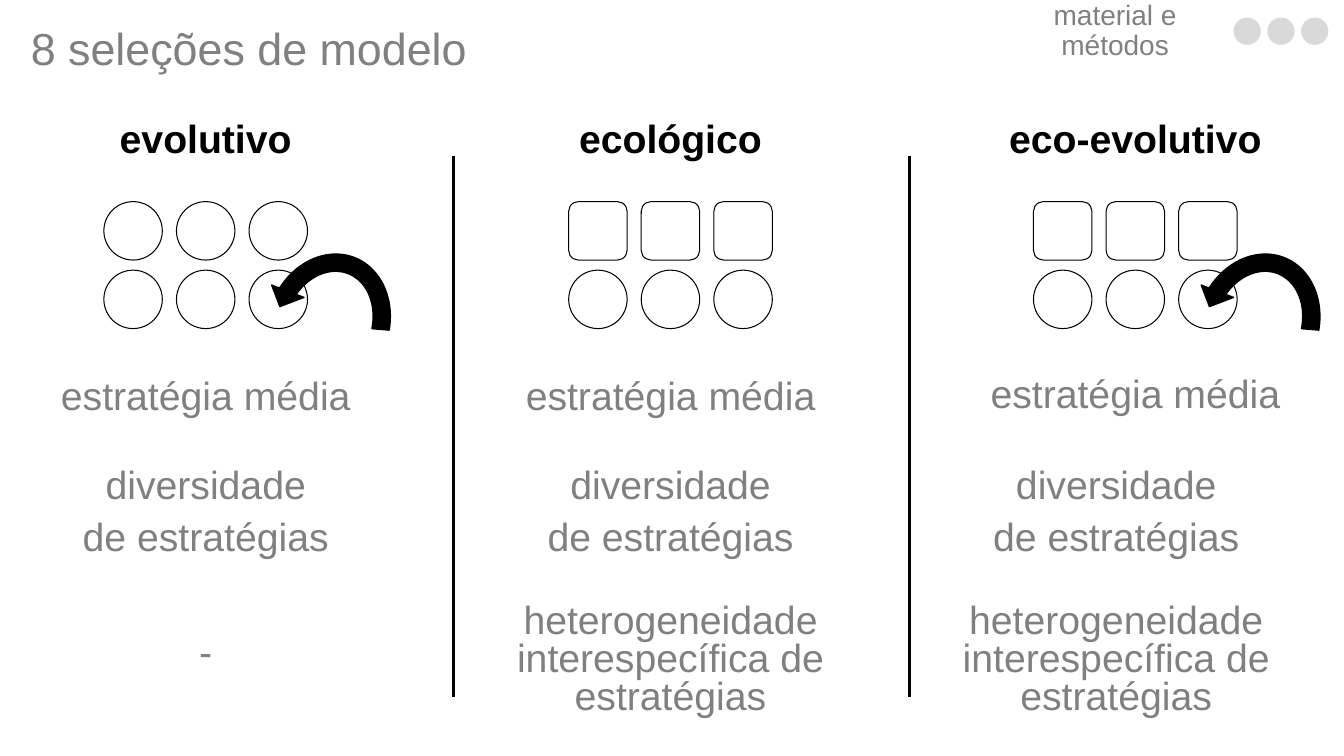
"""Build the slide that compares three families of model selection."""
import dataclasses

import lxml.etree
import pptx
import pptx.dml.color
import pptx.enum.shapes
import pptx.enum.text
import pptx.oxml.ns
import pptx.util

Inches = pptx.util.Inches
Pt = pptx.util.Pt
SHAPE = pptx.enum.shapes.MSO_SHAPE
ANCHOR = pptx.enum.text.MSO_ANCHOR


@dataclasses.dataclass(frozen=True)
class Theme:
    """Colours, font and type sizes of the slide."""
    font: str = "Arial"
    black: str = "000000"
    grey: str = "808080"
    pale: str = "D9D9D9"
    title: int = 32
    body: int = 28
    section: int = 20


THEME = Theme()
CENTRE, COLUMN_STEP = 2.04, 4.61
CELL, CELL_STEP_X, CELL_STEP_Y = 0.58, 0.72, 0.68
DIVERSITY = ["diversidade", "de estratégias"]
HETEROGENEITY = "heterogeneidade interespecífica de estratégias"
COLUMNS = [
    {"name": "evolutivo", "top_row": SHAPE.OVAL, "arrow": True,
     "mean_top": 3.69, "shift": 0, "last": "-",
     "last_box": (6.23, 3.51, 0.85), "last_spacing": 0.9},
    {"name": "ecológico", "top_row": SHAPE.ROUNDED_RECTANGLE, "arrow": False,
     "mean_top": 3.69, "shift": 0, "last": HETEROGENEITY,
     "last_box": (5.95, 4.76, 1.33), "last_spacing": 0.8},
    {"name": "eco-evolutivo", "top_row": SHAPE.ROUNDED_RECTANGLE, "arrow": True,
     "mean_top": 3.67, "shift": -0.19, "last": HETEROGENEITY,
     "last_box": (5.95, 4.76, 1.33), "last_spacing": 0.8},
]


def rgb(colour):
    """Return the colour object of a hex string."""
    return pptx.dml.color.RGBColor.from_string(colour)


def apply(target, formats):
    """Set each attribute named in formats on the target."""
    for name, value in formats.items():
        setattr(target, name, value)


def write(tf, lines, size, colour=THEME.grey, bold=False, spacing=0.9,
          before=10, anchor=ANCHOR.TOP):
    """Fill a text frame with centred paragraphs."""
    apply(tf, {"word_wrap": True, "vertical_anchor": anchor,
               "auto_size": pptx.enum.text.MSO_AUTO_SIZE.NONE})
    for i, line in enumerate(lines):
        p = tf.add_paragraph() if i else tf.paragraphs[0]
        apply(p, {"alignment": pptx.enum.text.PP_ALIGN.CENTER,
                  "line_spacing": spacing, "space_before": Pt(before)})
        r = p.add_run()
        r.text = line
        apply(r.font, {"name": THEME.font, "size": Pt(size), "bold": bold})
        r.font.color.rgb = rgb(colour)


def add_text(s, centre, top, width, height, lines, size=THEME.body, **formats):
    """Add a text box centred on a horizontal position."""
    box = s.shapes.add_textbox(Inches(centre - width / 2), Inches(top),
                               Inches(width), Inches(height))
    write(box.text_frame, lines, size, **formats)


def add_title(s, text):
    """Place and fill the title placeholder."""
    sp = s.shapes.title
    apply(sp, {"left": Inches(-0.09), "top": Inches(0.22),
               "width": Inches(5.12), "height": Inches(0.98)})
    write(sp.text_frame, [text], THEME.title)


def add_figure(s, kind, left, top, width, height, line, weight=0, fill=None):
    """Add a preset shape with an outline and an optional fill."""
    sp = s.shapes.add_shape(kind, Inches(left), Inches(top),
                            Inches(width), Inches(height))
    sp.shadow.inherit = False
    sp.line.color.rgb = rgb(line)
    sp.line.width = Pt(weight)
    if fill:
        sp.fill.solid()
        sp.fill.fore_color.rgb = rgb(fill)
    else:
        sp.fill.background()
    return sp


def add_species(s, centre, top_row):
    """Add two rows of three outlined species symbols."""
    for row, kind in enumerate((top_row, SHAPE.OVAL)):
        for col in range(3):
            add_figure(s, kind, centre + (col - 1) * CELL_STEP_X - CELL / 2,
                       2 + row * CELL_STEP_Y, CELL, CELL, THEME.black)


def add_arrow(s, centre):
    """Add the curved arrow that points at the last species."""
    sp = add_figure(s, SHAPE.CIRCULAR_ARROW, centre + 0.53, 2.42, 1.37, 1.61,
                    THEME.black, 1, THEME.black)
    for i, value in enumerate((0.125, 11.423, 204.577, 117.73, 0.125)):
        sp.adjustments[i] = value
    sp.rotation = 200.9
    sp._element.spPr.find(pptx.oxml.ns.qn("a:xfrm")).set("flipV", "1")


def add_divider(s, x):
    """Add a vertical rule between two columns."""
    line = s.shapes.add_connector(pptx.enum.shapes.MSO_CONNECTOR.STRAIGHT,
                                  Inches(x), Inches(1.55), Inches(x), Inches(6.91))
    line.line.color.rgb = rgb(THEME.black)
    line.line.width = Pt(2.25)
    lxml.etree.SubElement(line._element.spPr, pptx.oxml.ns.qn("a:effectLst"))


def add_column(s, centre, column):
    """Add the heading, symbols and measures of one model family."""
    add_text(s, centre, 0.67, 2.77, 1.45, [column["name"]], colour=THEME.black,
             bold=True, before=0, anchor=ANCHOR.MIDDLE)
    add_species(s, centre, column["top_row"])
    if column["arrow"]:
        add_arrow(s, centre)
    add_text(s, centre, column["mean_top"], 3.51, 0.85, ["estratégia média"])
    lower = centre + column["shift"]
    add_text(s, lower, 4.61, 5.08, 1.04, DIVERSITY, spacing=0.8)
    add_text(s, lower, *column["last_box"], [column["last"]],
             spacing=column["last_spacing"])


def main():
    """Build and save the slide."""
    prs = pptx.Presentation()
    apply(prs, {"slide_width": Inches(13.33), "slide_height": Inches(7.5)})
    s = prs.slides.add_slide(prs.slide_layouts[5])
    add_title(s, "8 seleções de modelo")
    add_text(s, 11.06, 0.08, 2.42, 0.47, ["material e métodos"], THEME.section,
             before=0, anchor=ANCHOR.MIDDLE)
    for i in range(3):
        add_figure(s, SHAPE.OVAL, 12.24 + i * 0.335, 0.18, 0.26, 0.26,
                   THEME.pale, fill=THEME.pale)
    for i, column in enumerate(COLUMNS):
        add_column(s, CENTRE + i * COLUMN_STEP, column)
    for x in (4.5, 9.02):
        add_divider(s, x)
    prs.save("out.pptx")


if __name__ == "__main__":
    main()
